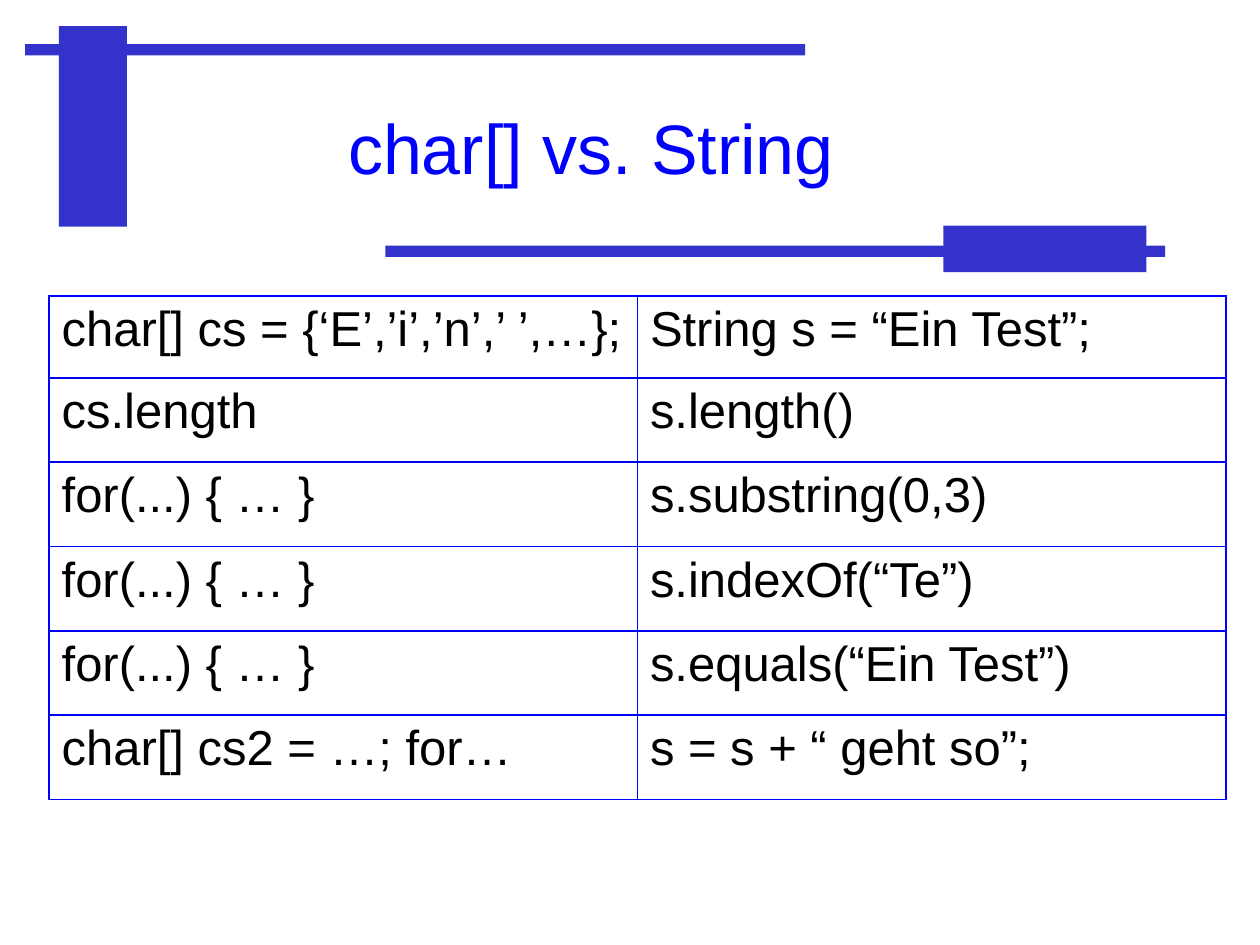
from lxml import etree
from pptx import Presentation
from pptx import util as u
from pptx.dml.color import RGBColor
from pptx.enum import shapes, text
from pptx.oxml import ns

BLUE = "0000FF"
BAR_BLUE = "3333CC"
ROWS = [
    ("char[] cs = {‘E’,’i’,’n’,’ ’,…};", "String s = “Ein Test”;"),
    ("cs.length", "s.length()"),
    ("for(...) { … }", "s.substring(0,3)"),
    ("for(...) { … }", "s.indexOf(“Te”)"),
    ("for(...) { … }", "s.equals(“Ein Test”)"),
    ("char[] cs2 = …; for…", "s = s + “ geht so”;"),
]


def paint(color_format, color):
    """Give a fill or font colour the hex value."""
    color_format.rgb = RGBColor.from_string(color)


def format_paragraph(paragraph, size, color):
    """Set the font of every run in a paragraph."""
    for run in paragraph.runs:
        run.font.name = "Arial"
        run.font.size = u.Pt(size)
        paint(run.font.color, color)


def add_bars(slide, left, top):
    """Draw the two crossed pairs of header bars."""
    bars = [
        (0.68, 0, 1.37, 4.04),
        (0, 0.36, 15.72, 0.23),
        (18.51, 4.02, 4.09, 0.94),
        (7.26, 4.42, 15.72, 0.23),
    ]
    for x, y, width, height in bars:
        bar = slide.shapes.add_shape(
            shapes.MSO_SHAPE.RECTANGLE,
            u.Cm(left + x), u.Cm(top + y), u.Cm(width), u.Cm(height),
        )
        bar.shadow.inherit = False
        bar.fill.solid()
        paint(bar.fill.fore_color, BAR_BLUE)
        bar.line.fill.background()


def place_title(slide, left, top, width, height):
    """Move the title placeholder into its box and format it."""
    title = slide.shapes.title
    title.left, title.top = u.Cm(left), u.Cm(top)
    title.width, title.height = u.Cm(width), u.Cm(height)
    frame = title.text_frame
    frame.text = "char[] vs. String"
    frame.auto_size = text.MSO_AUTO_SIZE.NONE
    frame.vertical_anchor = text.MSO_ANCHOR.MIDDLE
    paragraph = frame.paragraphs[0]
    paragraph.alignment = text.PP_ALIGN.CENTER
    paragraph.line_spacing = 0.85
    format_paragraph(paragraph, 40, BLUE)


def set_borders(cell, widths):
    """Draw the cell borders, with widths in points by side."""
    properties = cell._tc.get_or_add_tcPr()
    for side in "LRTB":
        line = etree.SubElement(
            properties, ns.qn(f"a:ln{side}"), w=str(u.Pt(widths[side]))
        )
        fill = etree.SubElement(line, ns.qn("a:solidFill"))
        etree.SubElement(fill, ns.qn("a:srgbClr"), val=BLUE)


def add_comparison(slide, left, top, width, height):
    """Build the table that compares char arrays with strings."""
    table = slide.shapes.add_table(
        len(ROWS), 2, u.Cm(left), u.Cm(top), u.Cm(width), u.Cm(height)
    ).table
    table.first_row = table.horz_banding = False
    for row, values in zip(table.rows, ROWS):
        row.height = u.Cm(1.7)
        for column, (cell, value) in enumerate(zip(row.cells, values)):
            inner_side = "L" if column else "R"
            widths = dict.fromkeys("LRTB", 1.08)
            widths[inner_side] = 0.45
            set_borders(cell, widths)
            cell.fill.background()
            cell.text_frame.text = value
            paragraph = cell.text_frame.paragraphs[0]
            paragraph.space_before = u.Pt(7)
            format_paragraph(paragraph, 28, "000000")
    table.rows[0].height = u.Cm(1.65)


def main():
    """Build and save the slide."""
    presentation = Presentation()
    presentation.slide_width = u.Cm(25.4)
    presentation.slide_height = u.Cm(19.05)
    slide = presentation.slides.add_slide(presentation.slide_layouts[5])
    add_bars(slide, 0.51, 0.53)
    place_title(slide, 2.54, 1.5, 18.75, 3.17)
    add_comparison(slide, 0.99, 5.97, 23.72, 10.15)
    presentation.save("out.pptx")


if __name__ == "__main__":
    main()
